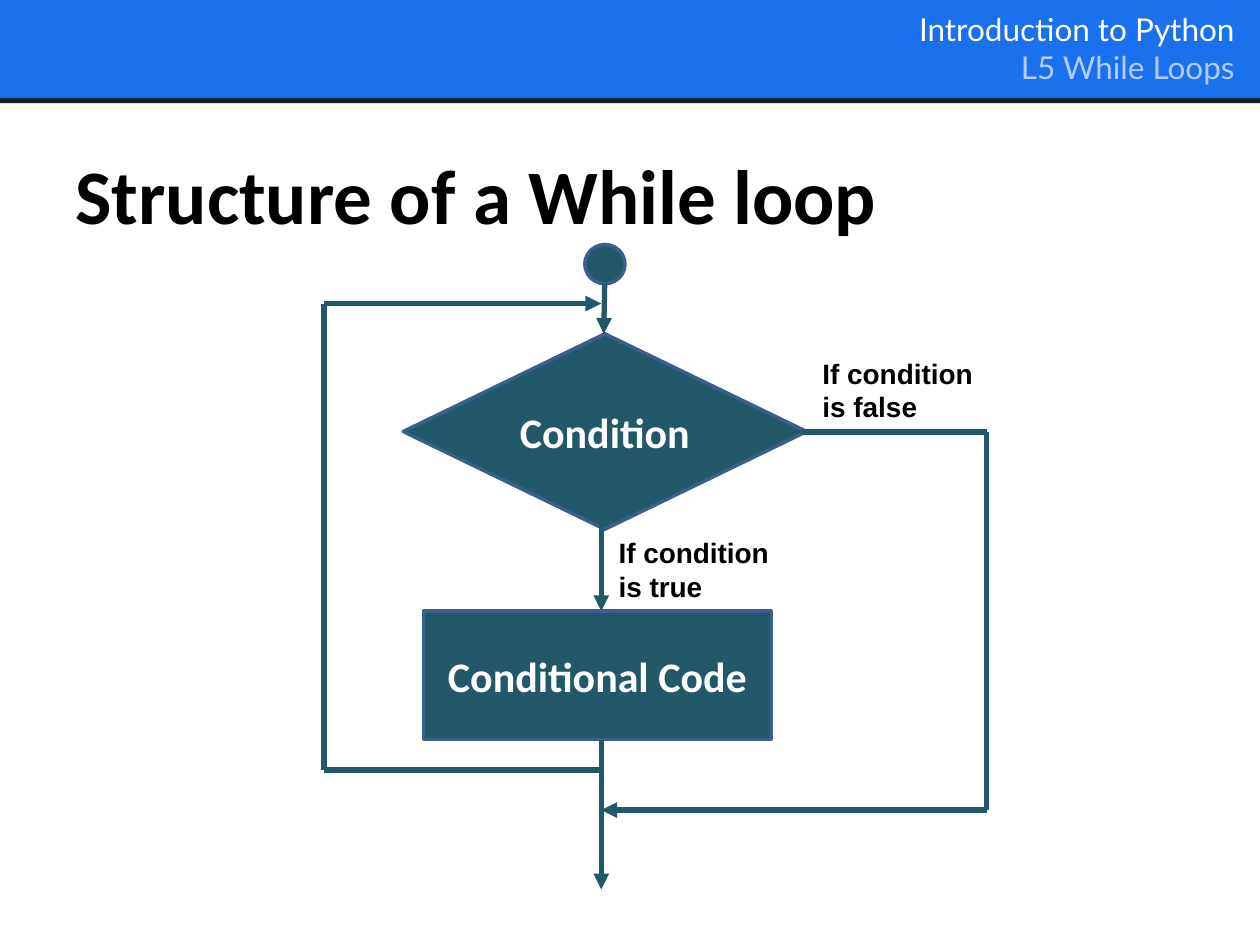
from lxml.etree import SubElement
from pptx import Presentation
from pptx.dml.color import RGBColor
from pptx.enum.shapes import MSO_CONNECTOR, MSO_SHAPE
from pptx.enum.text import MSO_ANCHOR, PP_ALIGN
from pptx.oxml.ns import qn
from pptx.util import Cm, Pt

COLORS = {
    "band": "1B70ED",
    "rule": "0C2026",
    "subtitle": "B3CCFF",
    "node": "215968",
    "outline": "3A5F8C",
    "white": "FFFFFF",
    "black": "000000",
}


def color(name):
    return RGBColor.from_string(COLORS[name])


def add_run(paragraph, text, size, font, color_name, bold=False):
    run = paragraph.add_run()
    run.text = text
    run.font.size = Pt(size)
    run.font.name = font
    run.font.bold = bold
    run.font.color.rgb = color(color_name)


def add_filled_shape(slide, kind, left, top, width, height, fill, outline=None):
    shape = slide.shapes.add_shape(kind, Cm(left), Cm(top), Cm(width), Cm(height))
    shape.shadow.inherit = False
    shape.fill.solid()
    shape.fill.fore_color.rgb = color(fill)
    if outline:
        shape.line.color.rgb = color(outline)
        shape.line.width = Pt(2)
    else:
        shape.line.fill.background()
    return shape


def add_text_box(slide, left, top, width, height):
    text_box = slide.shapes.add_textbox(Cm(left), Cm(top), Cm(width), Cm(height))
    text_box.text_frame.word_wrap = True
    return text_box.text_frame.paragraphs[0]


def add_line(slide, start, end, arrow=False):
    connector = slide.shapes.add_connector(
        MSO_CONNECTOR.STRAIGHT, *(Cm(value) for value in (*start, *end)))
    connector.line.color.rgb = color("node")
    connector.line.width = Pt(3)
    if arrow:
        SubElement(connector.line._get_or_add_ln(), qn("a:tailEnd"), type="triangle")
    SubElement(connector._element.spPr, qn("a:effectLst"))


def build_header(slide, left, top, width, height):
    band_height = height - 0.1
    add_filled_shape(slide, MSO_SHAPE.RECTANGLE, left, top + height - 0.3, width, 0.3, "rule")
    add_filled_shape(slide, MSO_SHAPE.RECTANGLE, left, top, width, band_height, "band")
    paragraph = add_text_box(slide, left + width - 12.73, top + 0.08, 12.47, 1.75)
    paragraph.alignment = PP_ALIGN.RIGHT
    add_run(paragraph, "Introduction to Python", 18, "Lato", "white")
    paragraph.add_line_break()
    add_run(paragraph, "L5 While Loops", 18, "Lato", "subtitle")


def build_title(slide, left, top, width, height):
    title = slide.shapes.title
    title.left, title.top, title.width, title.height = map(Cm, (left, top, width, height))
    title.text_frame.vertical_anchor = MSO_ANCHOR.MIDDLE
    paragraph = title.text_frame.paragraphs[0]
    paragraph.alignment = PP_ALIGN.LEFT
    add_run(paragraph, "Structure of a While loop", 44, "Calibri", "black", True)


def build_flowchart(slide, left, top, width, height):
    def at(x, y):
        return left + x, top + y

    nodes = [
        (MSO_SHAPE.OVAL, 5.26, 0, 0.81, 0.79, None),
        (MSO_SHAPE.FLOWCHART_DECISION, 1.6, 1.8, 8.13, 3.94, "Condition"),
        (MSO_SHAPE.FLOWCHART_PROCESS, 2.01, 7.39, 7.01, 2.59, "Conditional Code"),
    ]
    for kind, x, y, node_width, node_height, text in nodes:
        node = add_filled_shape(
            slide, kind, *at(x, y), node_width, node_height, "node", "outline")
        if text:
            node.text_frame.vertical_anchor = MSO_ANCHOR.MIDDLE
            paragraph = node.text_frame.paragraphs[0]
            paragraph.alignment = PP_ALIGN.CENTER
            add_run(paragraph, text, 24, "Calibri", "white", True)

    for x, y, text in [(9.8, 2.13, "If condition is false"), (5.69, 5.74, "If condition is true")]:
        paragraph = add_text_box(slide, *at(x, y), 3.61, 1.63)
        add_run(paragraph, text, 16, "Arial", "black", True)

    spine, right = 5.59, width - 0.05
    loop_top, loop_bottom = 1.19, 10.59
    exit_top, exit_bottom = 3.78, 11.4
    paths = [
        [(5.66, 0.79), (5.64, 1.8)],
        [(spine, 4.37), (spine, 7.39)],
        [(spine, 9.98), (spine, height)],
        [(spine, loop_bottom), (0, loop_bottom), (0, loop_top), (spine, loop_top)],
        [(9.63, exit_top), (right, exit_top), (right, exit_bottom), (spine, exit_bottom)],
    ]
    for points in paths:
        for index, (start, end) in enumerate(zip(points, points[1:]), 2):
            add_line(slide, at(*start), at(*end), arrow=index == len(points))


def main():
    presentation = Presentation()
    presentation.slide_width = Cm(25.4)
    presentation.slide_height = Cm(19.05)
    slide = presentation.slides.add_slide(presentation.slide_layouts[5])
    build_header(slide, 0, 0, 25.4, 2.08)
    build_title(slide, 1.27, 2.67, 22.86, 2.46)
    build_flowchart(slide, 6.53, 4.93, 13.41, 13)
    presentation.save("out.pptx")


if __name__ == "__main__":
    main()
